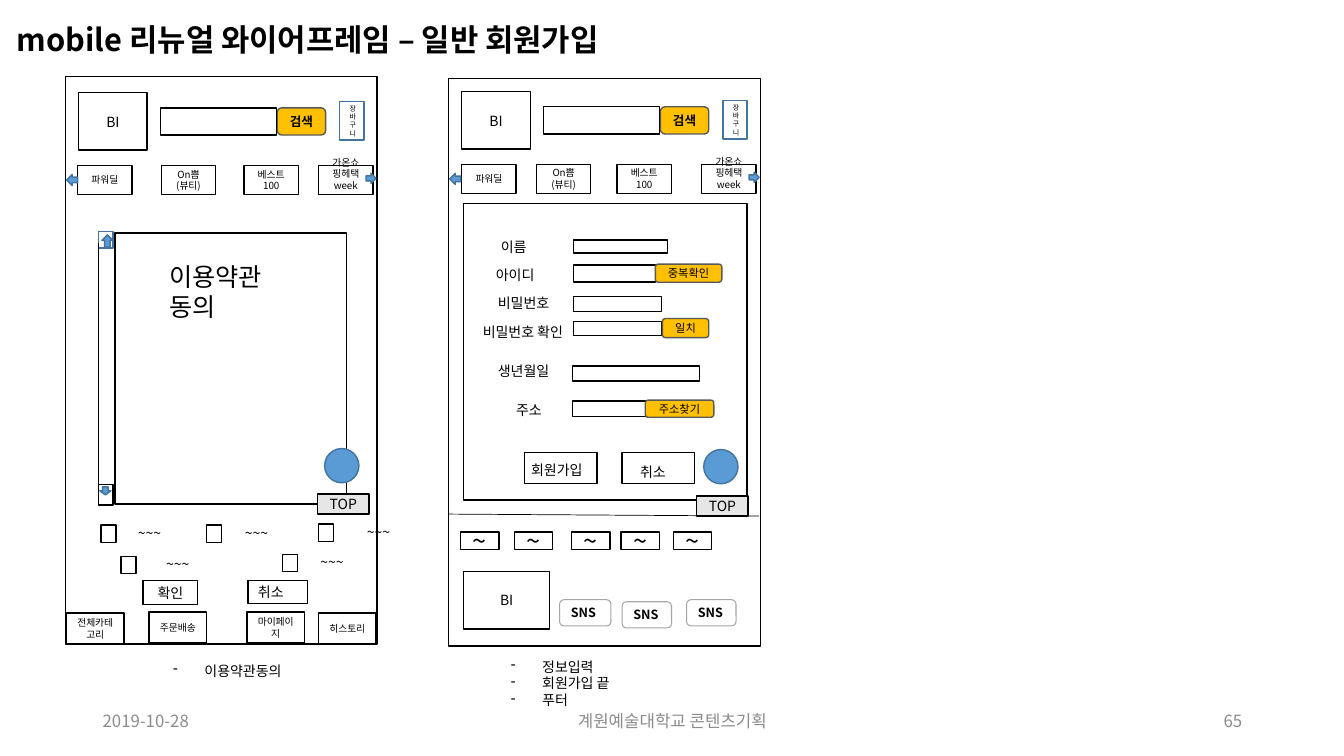
from dataclasses import dataclass
from typing import Optional

from lxml.etree import SubElement
from pptx import Presentation
from pptx.dml.color import RGBColor
from pptx.enum.shapes import MSO_CONNECTOR as Connector, MSO_SHAPE as Shape
from pptx.enum.text import MSO_ANCHOR as Anchor, PP_ALIGN as Align
from pptx.oxml.ns import qn
from pptx.util import Inches, Pt

COLORS = {
    "black": "000000", "white": "FFFFFF", "footer": "8C8C8C", "blue": "5B9BD5",
    "navy": "43739E", "amber": "FFC000", "charcoal": "595959",
    "silver": "E7E6E6", "gray": "A6A6A6",
}
KOREAN = "Noto Sans CJK KR"


@dataclass
class Box:
    left: float
    top: float
    width: float
    height: float
    text: str = ""
    size: float = 10
    kind: Shape = Shape.RECTANGLE
    fill: Optional[str] = None
    line: str = "black"
    line_width: float = 1
    font: str = KOREAN
    bold: bool = False
    align: Align = Align.CENTER
    bottom_inset: float = 0.05
    rotation: float = 0


@dataclass
class Label:
    left: float
    top: float
    width: float
    text: str
    height: float = 0.27
    size: float = 10
    color: str = "black"
    bold: bool = False
    wrap: bool = True
    bullet: bool = False
    align: Align = Align.LEFT
    anchor: Anchor = Anchor.TOP


def rgb(name: str) -> RGBColor:
    return RGBColor.from_string(COLORS[name])


def add_text(paragraph, text: str, size: float, color: str, bold: bool, font: str = KOREAN) -> None:
    run = paragraph.add_run()
    run.text = text
    run.font.size = Pt(size)
    run.font.bold = bold
    run.font.color.rgb = rgb(color)
    run.font.name = font
    SubElement(run.font._element, qn("a:ea")).set("typeface", KOREAN)


def add_dash(paragraph) -> None:
    properties = paragraph._p.get_or_add_pPr()
    properties.set("marL", str(Inches(0.31)))
    properties.set("indent", str(Inches(-0.31)))
    SubElement(properties, qn("a:buChar")).set("char", "-")


def draw_box(slide, box: Box) -> None:
    shape = slide.shapes.add_shape(
        box.kind, Inches(box.left), Inches(box.top), Inches(box.width), Inches(box.height))
    shape.shadow.inherit = False
    shape.rotation = box.rotation
    if box.fill:
        shape.fill.solid()
        shape.fill.fore_color.rgb = rgb(box.fill)
    else:
        shape.fill.background()
    shape.line.color.rgb = rgb(box.line)
    shape.line.width = Pt(box.line_width)
    if box.text:
        frame = shape.text_frame
        frame.word_wrap = True
        frame.vertical_anchor = Anchor.MIDDLE
        frame.margin_bottom = Inches(box.bottom_inset)
        paragraph = frame.paragraphs[0]
        paragraph.alignment = box.align
        add_text(paragraph, box.text, box.size, "black", box.bold, box.font)


def draw_label(slide, label: Label) -> None:
    frame = slide.shapes.add_textbox(
        Inches(label.left), Inches(label.top), Inches(label.width), Inches(label.height)).text_frame
    frame.word_wrap = label.wrap
    frame.vertical_anchor = label.anchor
    for index, text in enumerate(label.text.split("\n")):
        paragraph = frame.add_paragraph() if index else frame.paragraphs[0]
        paragraph.alignment = label.align
        if label.bullet:
            add_dash(paragraph)
        add_text(paragraph, text, label.size, label.color, label.bold)


def draw_line(slide, x1: float, y1: float, x2: float, y2: float) -> None:
    line = slide.shapes.add_connector(
        Connector.STRAIGHT, Inches(x1), Inches(y1), Inches(x2), Inches(y2))
    line.line.color.rgb = rgb("black")
    line.line.width = Pt(0.5)
    SubElement(line._element.spPr, qn("a:effectLst"))


def arrow(left: float, top: float, width: float, height: float, kind: Shape, rotation: float = 0) -> Box:
    return Box(left, top, width, height, kind=kind, rotation=rotation, fill="blue", line="navy")


def button(left: float, top: float, width: float, height: float, text: str,
           size: float = 8, bold: bool = False) -> Box:
    return Box(left, top, width, height, text, size, Shape.ROUNDED_RECTANGLE,
               "amber", "charcoal", font="Arial", bold=bold)


def draw_phone(slide, left: float, top: float, frame_top: float, tab_offsets: list[float]) -> None:
    """Phone outline with the shared header: logo box, search, cart and tabs."""
    tabs = ["파워딜", "On쁨(뷰티)", "베스트100", "가온쇼핑헤택 week"]
    boxes = [
        Box(left, frame_top, 3.09, 5.63),
        Box(left + 0.13, top, 0.68, 0.57, "BI"),
        button(left + 2.1, top + 0.15, 0.48, 0.27, "검색", 9, True),
        Box(left + 0.94, top + 0.15, 1.15, 0.27, fill="white"),
        Box(left + 2.72, top + 0.09, 0.24, 0.38, "장바구니", 5, fill="white", line="navy"),
    ]
    for text, offset in zip(tabs, tab_offsets):
        inset = 0.17 if text.endswith("week") else 0.05
        boxes.append(Box(left + offset, top + 0.72, 0.54, 0.29, text, 7,
                         fill="white", bottom_inset=inset))
    boxes += [
        arrow(left + 0.01, top + 0.81, 0.11, 0.11, Shape.RIGHT_ARROW, 180),
        arrow(left + 2.98, top + 0.8, 0.1, 0.1, Shape.RIGHT_ARROW),
    ]
    for box in boxes:
        draw_box(slide, box)


def draw_top_button(slide, circle_left: float, circle_top: float, left: float, top: float) -> None:
    draw_box(slide, Box(circle_left, circle_top, 0.34, 0.34, kind=Shape.OVAL, fill="blue", line="navy"))
    draw_box(slide, Box(left, top, 0.51, 0.2, "TOP", fill="silver"))


def draw_terms(slide) -> None:
    draw_phone(slide, 0.65, 0.92, 0.76, [0.12, 0.95, 1.77, 2.51])
    # Terms panel and scroll bar
    for box in [
        Box(1.14, 2.31, 2.3, 2.69),
        Box(0.98, 2.3, 0.14, 0.16, line="navy"),
        arrow(0.99, 4.83, 0.11, 0.08, Shape.DOWN_ARROW),
        arrow(1.01, 2.33, 0.11, 0.12, Shape.DOWN_ARROW, 180),
        Box(0.98, 4.81, 0.14, 0.2),
        Box(1.42, 5.76, 0.54, 0.24, "확인"),
        Box(2.46, 5.76, 0.59, 0.23),
    ]:
        draw_box(slide, box)
    draw_line(slide, 0.98, 2.41, 0.98, 4.91)
    draw_label(slide, Label(1.58, 2.54, 1.27, "이용약관동의", 0.71, 18))
    draw_label(slide, Label(2.46, 5.74, 0.48, "취소", wrap=False))
    # Consent check boxes
    for left, top, label_left in [(1, 5.21, 1.27), (2.05, 5.21, 2.33), (3.16, 5.2, 3.54),
                                  (1.2, 5.52, 1.55), (2.8, 5.5, 3.08)]:
        draw_box(slide, Box(left, top, 0.15, 0.17))
        draw_label(slide, Label(label_left, top - 0.06, 0.54, "~~~"))
    # Bottom navigation
    for left, top, text in [(0.66, 6.08, "전체카테고리"), (1.48, 6.07, "주문배송"),
                            (2.45, 6.07, "마이페이지"), (3.16, 6.08, "히스토리")]:
        draw_box(slide, Box(left, top, 0.57, 0.31, text, 7, fill="white"))
    draw_top_button(slide, 3.22, 4.45, 3.15, 4.9)
    draw_label(slide, Label(1.62, 6.52, 1.36, "이용약관동의", wrap=False, bullet=True))


def draw_signup(slide) -> None:
    draw_phone(slide, 4.45, 0.91, 0.78, [0.13, 0.87, 1.67, 2.51])
    # Form fields: label position, then field position
    draw_box(slide, Box(4.6, 2.02, 2.81, 2.94))
    for text, label_left, label_top, left, top, width, height in [
        ("이름", 4.87, 2.32, 5.69, 2.38, 0.93, 0.13),
        ("아이디", 4.82, 2.59, 5.69, 2.63, 0.81, 0.17),
        ("비밀번호", 4.84, 2.87, 5.69, 2.94, 0.87, 0.15),
        ("비밀번호 확인", 4.69, 3.16, 5.69, 3.19, 0.87, 0.14),
        ("생년월일", 4.84, 3.55, 5.68, 3.63, 1.26, 0.15),
        ("주소", 5.02, 3.93, 5.68, 3.98, 1.26, 0.15),
    ]:
        draw_label(slide, Label(label_left, label_top, 1.13, text))
        draw_box(slide, Box(left, top, width, height))
    for field_button in [button(6.5, 2.62, 0.66, 0.18, "중복확인"),
                         button(6.57, 3.16, 0.46, 0.19, "일치"),
                         button(6.4, 3.97, 0.68, 0.17, "주소찾기")]:
        draw_box(slide, field_button)
    for left, label_left, label_top, width, text in [(5.2, 5.17, 4.53, 0.76, "회원가입"),
                                                     (6.17, 6.25, 4.55, 0.48, "취소")]:
        draw_box(slide, Box(left, 4.49, 0.72, 0.31))
        draw_label(slide, Label(label_left, label_top, width, text, wrap=False))
    draw_top_button(slide, 6.98, 4.46, 6.91, 4.92)
    # Phone footer
    draw_line(slide, 4.45, 5.1, 7.53, 5.12)
    for left in (4.57, 5.1, 5.67, 6.16, 6.68):
        draw_box(slide, Box(left, 5.28, 0.38, 0.17, "~", 18))
    draw_box(slide, Box(4.6, 5.67, 0.85, 0.57, "BI"))
    for left, top, width in [(5.55, 5.95, 0.51), (6.17, 5.97, 0.49), (6.81, 5.95, 0.49)]:
        draw_box(slide, Box(left, top, width, 0.26, "SNS", 9, Shape.ROUNDED_RECTANGLE, "white",
                            "gray", 0.75, bold=True, align=Align.LEFT))
    draw_label(slide, Label(4.97, 6.48, 1.27, "정보입력\n회원가입 끝\n푸터", 0.61, wrap=False, bullet=True))


def main() -> None:
    presentation = Presentation()
    presentation.slide_width, presentation.slide_height = Inches(13.33), Inches(7.5)
    slide = presentation.slides.add_slide(presentation.slide_layouts[6])
    # Title and slide footer
    draw_label(slide, Label(0.07, 0.16, 6.54, "mobile 리뉴얼 와이어프레임 – 일반 회원가입",
                            0.47, 22, bold=True, wrap=False))
    for left, width, text, align in [(0.92, 3, "2019-10-28", Align.LEFT),
                                     (4.42, 4.5, "계원예술대학교 콘텐츠기획", Align.CENTER),
                                     (9.42, 3, "65", Align.RIGHT)]:
        draw_label(slide, Label(left, 6.95, width, text, 0.4, 12, "footer",
                                align=align, anchor=Anchor.MIDDLE))
    # Wireframes
    draw_terms(slide)
    draw_signup(slide)
    presentation.save("out.pptx")


if __name__ == "__main__":
    main()
